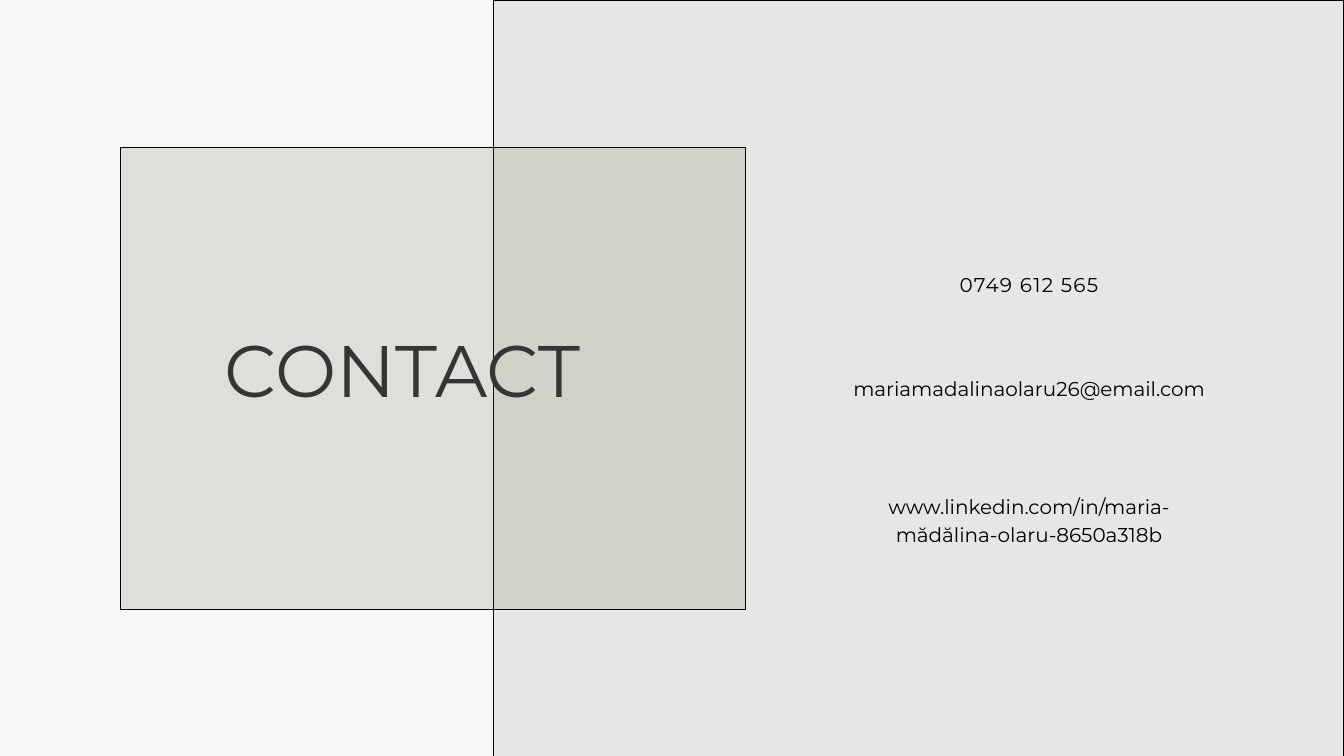
from dataclasses import dataclass

import pptx
import pptx.util
from lxml import etree
from pptx.dml.color import RGBColor
from pptx.enum.shapes import MSO_SHAPE
from pptx.enum.text import MSO_ANCHOR, MSO_AUTO_SIZE, PP_ALIGN
from pptx.oxml.ns import qn
from pptx.shapes.base import BaseShape
from pptx.slide import Slide

SLIDE_WIDTH, SLIDE_HEIGHT = 1344, 756
EMU_PER_PX = 20 * 914400 / SLIDE_WIDTH


@dataclass(frozen=True)
class Theme:
    font: str = "Montserrat"
    background: str = "F7F7F7"
    panel: str = "E7E6E4"
    card: str = "727959"
    ink: str = "000000"
    heading: str = "363535"
    heading_size: float = 78.1
    heading_leading: float = 83.6
    detail_size: float = 21.4
    detail_leading: float = 29.9


@dataclass(frozen=True)
class Box:
    left: int
    top: int
    width: int
    height: int


@dataclass(frozen=True)
class Panel:
    box: Box
    color: str
    opacity: int = 100


@dataclass(frozen=True)
class Label:
    text: str
    box: Box
    size: float
    leading: float
    color: str
    align: PP_ALIGN = PP_ALIGN.CENTER
    tracking: float = 0


THEME = Theme()

PANELS = [
    Panel(Box(493, 0, 851, 756), THEME.panel),
    Panel(Box(120, 147, 625, 462), THEME.card, opacity=19),
]

HEADING = Label("CONTACT", Box(224, 334, 573, 80), THEME.heading_size,
                THEME.heading_leading, THEME.heading, PP_ALIGN.LEFT)


def detail(text: str, top: int, height: int = 26, tracking: float = 0) -> Label:
    return Label(text, Box(850, top, 358, height), THEME.detail_size,
                 THEME.detail_leading, THEME.ink, tracking=tracking)


DETAILS = [
    detail("0749 612 565", 269, tracking=1.4),
    detail("mariamadalinaolaru26@email.com", 373),
    detail("www.linkedin.com/in/maria-mădălina-olaru-8650a318b", 491, height=53),
]


def px(length: int) -> int:
    return round(length * EMU_PER_PX)


def place(shape: BaseShape, box: Box) -> None:
    shape.left, shape.top = px(box.left), px(box.top)
    shape.width, shape.height = px(box.width), px(box.height)


def draw_panel(slide: Slide, panel: Panel) -> None:
    shape = slide.shapes.add_shape(MSO_SHAPE.RECTANGLE, 0, 0, 0, 0)
    place(shape, panel.box)
    shape.shadow.inherit = False
    shape.fill.solid()
    shape.fill.fore_color.rgb = RGBColor.from_string(panel.color)
    if panel.opacity < 100:
        color = shape.element.spPr.find(qn("a:solidFill")).find(qn("a:srgbClr"))
        etree.SubElement(color, qn("a:alpha"), val=str(panel.opacity * 1000))
    shape.line.color.rgb = RGBColor.from_string(THEME.ink)
    shape.line.width = pptx.util.Pt(1)


def write_label(shape: BaseShape, label: Label) -> None:
    place(shape, label.box)
    frame = shape.text_frame
    frame.text = label.text
    frame.word_wrap = True
    frame.auto_size = MSO_AUTO_SIZE.NONE
    frame.vertical_anchor = MSO_ANCHOR.TOP
    frame.margin_left = frame.margin_top = frame.margin_right = frame.margin_bottom = 0
    paragraph = frame.paragraphs[0]
    paragraph.alignment = label.align
    paragraph.line_spacing = pptx.util.Pt(label.leading)
    run = paragraph.runs[0]
    run.font.name = THEME.font
    run.font.size = pptx.util.Pt(label.size)
    run.font.color.rgb = RGBColor.from_string(label.color)
    if label.tracking:
        run.font._element.set("spc", str(round(label.tracking * 100)))


def main() -> None:
    deck = pptx.Presentation()
    deck.slide_width, deck.slide_height = px(SLIDE_WIDTH), px(SLIDE_HEIGHT)
    slide = deck.slides.add_slide(deck.slide_layouts.get_by_name("Title Only"))
    slide.background.fill.solid()
    slide.background.fill.fore_color.rgb = RGBColor.from_string(THEME.background)

    for panel in PANELS:
        draw_panel(slide, panel)

    heading = slide.shapes.title
    heading.element.getparent().append(heading.element)  # in front of the card
    write_label(heading, HEADING)

    for label in DETAILS:
        write_label(slide.shapes.add_textbox(0, 0, 0, 0), label)

    deck.save("out.pptx")


if __name__ == "__main__":
    main()
